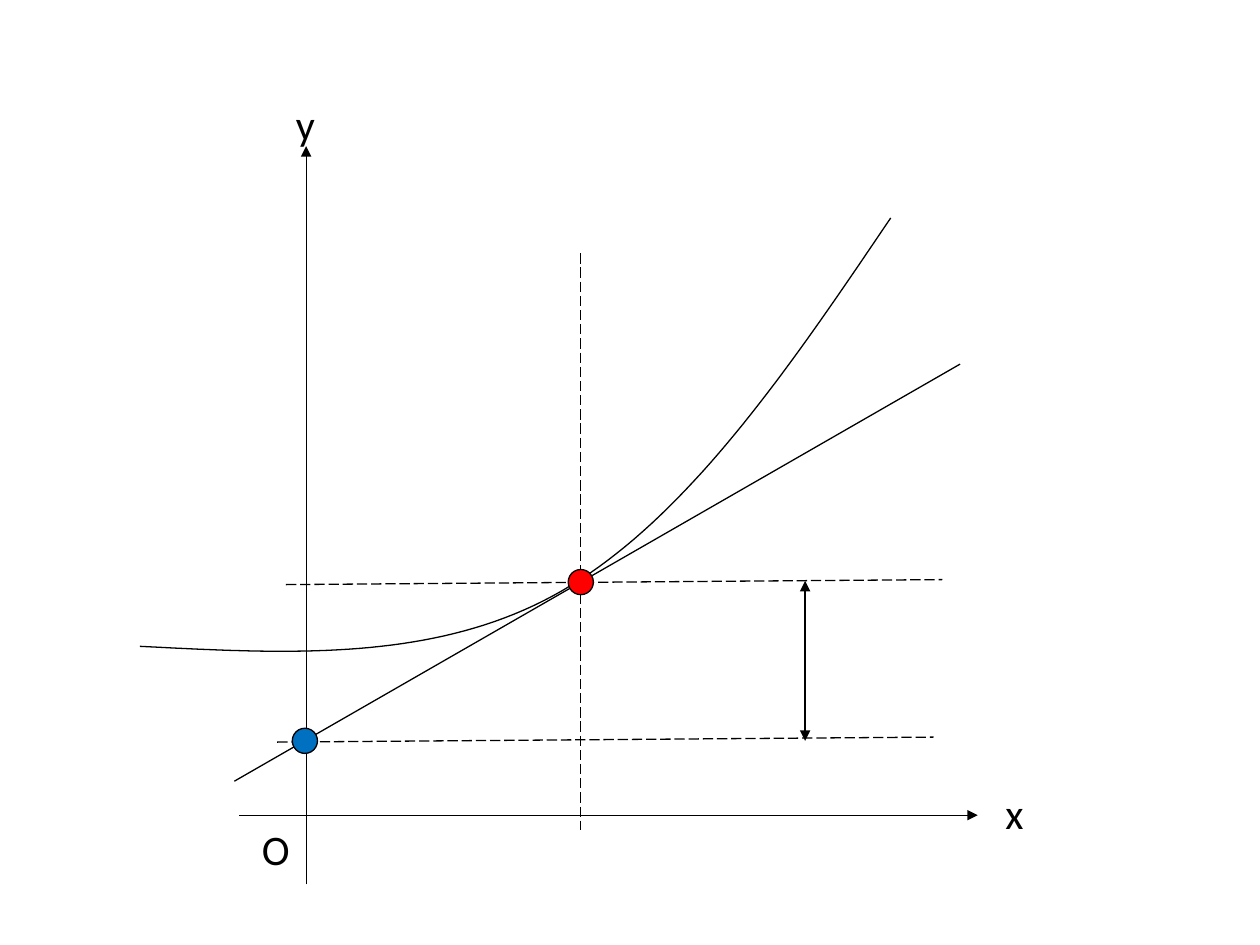
from typing import NamedTuple

from lxml import etree
from pptx import Presentation
from pptx import util as u
from pptx.dml.color import RGBColor
from pptx.enum import dml, shapes, text
from pptx.oxml.ns import qn

COLORS = {"ink": "000000", "tangent_point": "FF0000", "intercept": "0070C0"}
LINE_WIDTH = u.Pt(0.75)
LABEL_FORMAT = {"name": "Calibri", "size": u.Pt(24)}
FRAME_FORMAT = {
    "word_wrap": False,
    "auto_size": text.MSO_AUTO_SIZE.SHAPE_TO_FIT_TEXT,
}
DOT_SIZE = 0.2
STEPS = 40

Point = tuple[float, float]


class Line(NamedTuple):
    start: Point
    end: Point
    dashed: bool = False
    arrows: tuple[str, ...] = ()


class Label(NamedTuple):
    wording: str
    left: float
    top: float
    width: float


class Dot(NamedTuple):
    left: float
    top: float
    color: str


GUIDES = [
    Line((2.2, 5.89), (7.41, 5.85), dashed=True),
    Line((2.27, 4.64), (7.48, 4.6), dashed=True),
    Line((4.61, 2.01), (4.61, 6.59), dashed=True),
]
AXES = [
    Line((1.9, 6.47), (7.76, 6.47), arrows=("tailEnd",)),
    Line((2.43, 7.02), (2.43, 1.16), arrows=("tailEnd",)),
]
TANGENT = Line((7.62, 2.89), (1.86, 6.2))
HEIGHT_ARROW = Line((6.39, 4.61), (6.39, 5.88), arrows=("headEnd", "tailEnd"))
CURVE = [
    ((1.11, 5.13), (2.29, 5.19), (3.47, 5.26), (4.46, 4.69)),
    ((4.46, 4.69), (5.45, 4.12), (6.26, 2.93), (7.07, 1.73)),
]
LABELS = [
    Label("O", 1.98, 6.49, 0.42),
    Label("x", 7.88, 6.2, 0.35),
    Label("y", 2.25, 0.73, 0.35),
]
DOTS = [Dot(4.51, 4.52, "tangent_point"), Dot(2.32, 5.78, "intercept")]


def color(name: str) -> RGBColor:
    return RGBColor.from_string(COLORS[name])


def apply(target, values: dict) -> None:
    for name, value in values.items():
        setattr(target, name, value)


def ink_outline(shape) -> None:
    shape.line.color.rgb = color("ink")
    shape.line.width = LINE_WIDTH


def draw_line(slide, line: Line) -> None:
    ends = [u.Inches(value) for value in line.start + line.end]
    connector = slide.shapes.add_connector(shapes.MSO_CONNECTOR.STRAIGHT, *ends)
    ink_outline(connector)
    if line.dashed:
        connector.line.dash_style = dml.MSO_LINE.LONG_DASH
    outline = connector.line._get_or_add_ln()
    for arrow in line.arrows:
        etree.SubElement(outline, qn(f"a:{arrow}"), type="triangle")
    etree.SubElement(connector._element.spPr, qn("a:effectLst"))


def bezier_point(controls: tuple[Point, ...], t: float) -> Point:
    weights = ((1 - t) ** 3, 3 * t * (1 - t) ** 2, 3 * t**2 * (1 - t), t**3)
    x, y = (
        u.Inches(sum(w * point[axis] for w, point in zip(weights, controls)))
        for axis in (0, 1)
    )
    return x, y


def draw_curve(slide, segments: list[tuple[Point, ...]]) -> None:
    builder = slide.shapes.build_freeform(*bezier_point(segments[0], 0))
    for controls in segments:
        points = [bezier_point(controls, i / STEPS) for i in range(1, STEPS + 1)]
        builder.add_line_segments(points, close=False)
    curve = builder.convert_to_shape()
    curve.shadow.inherit = False
    curve.fill.background()
    ink_outline(curve)


def draw_label(slide, label: Label) -> None:
    box = slide.shapes.add_textbox(
        u.Inches(label.left), u.Inches(label.top), u.Inches(label.width), u.Inches(0.5)
    )
    apply(box.text_frame, FRAME_FORMAT)
    paragraph = box.text_frame.paragraphs[0]
    run = paragraph.add_run()
    run.text = label.wording
    apply(run.font, LABEL_FORMAT)
    run.font.color.rgb = color("ink")


def draw_dot(slide, dot: Dot) -> None:
    size = u.Inches(DOT_SIZE)
    shape = slide.shapes.add_shape(
        shapes.MSO_SHAPE.OVAL, u.Inches(dot.left), u.Inches(dot.top), size, size
    )
    shape.shadow.inherit = False
    shape.fill.solid()
    shape.fill.fore_color.rgb = color(dot.color)
    ink_outline(shape)


def main() -> None:
    presentation = Presentation()
    apply(
        presentation,
        {"slide_width": u.Inches(10), "slide_height": u.Inches(7.5)},
    )
    slide = presentation.slides.add_slide(presentation.slide_layouts[6])
    for line in GUIDES + AXES:
        draw_line(slide, line)
    draw_curve(slide, CURVE)
    draw_line(slide, TANGENT)
    for label in LABELS:
        draw_label(slide, label)
    for dot in DOTS:
        draw_dot(slide, dot)
    draw_line(slide, HEIGHT_ARROW)
    presentation.save("out.pptx")


if __name__ == "__main__":
    main()
